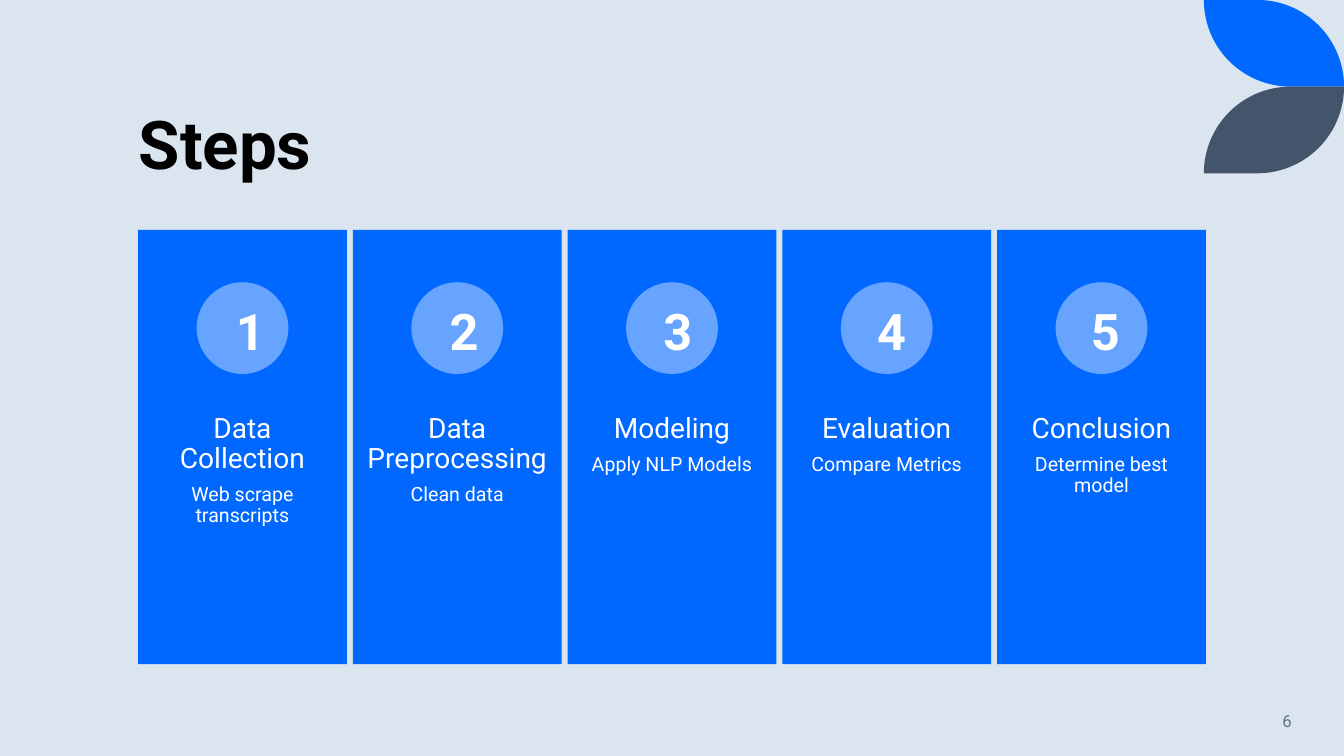
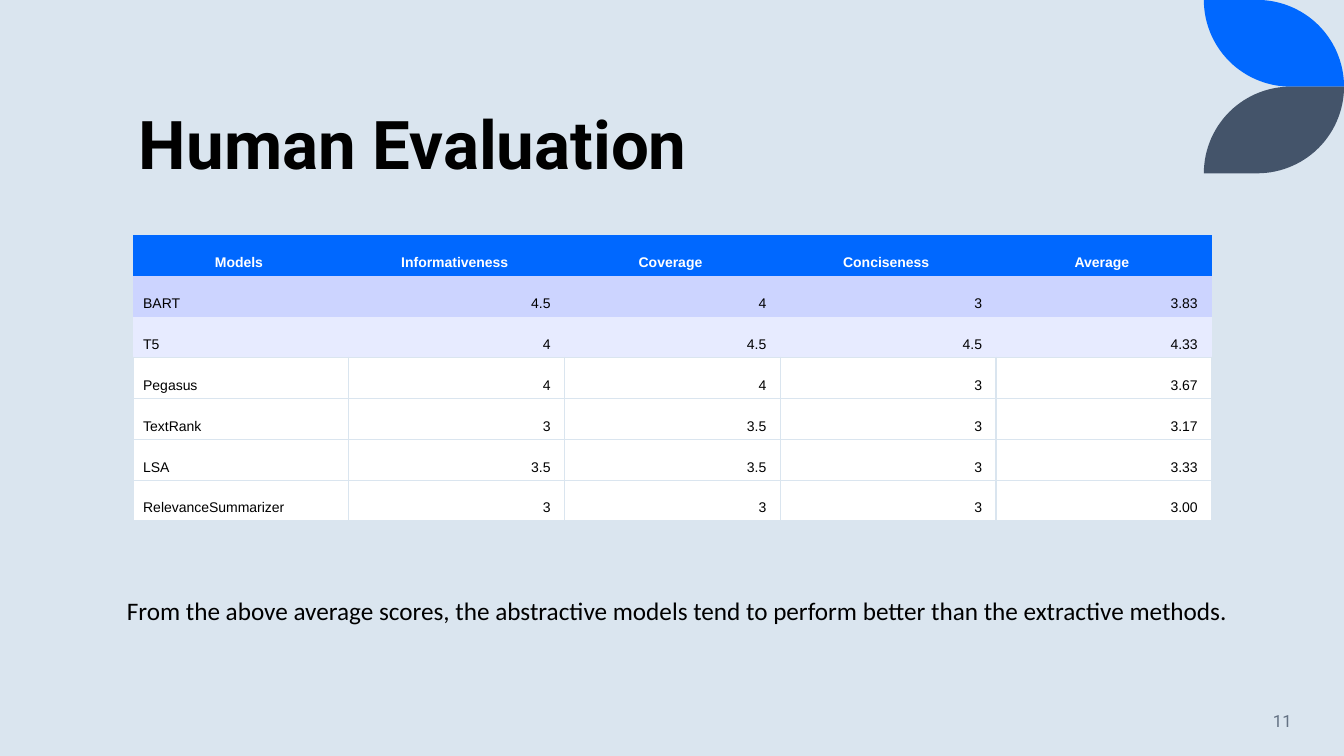
from math import cos, radians, sin

from lxml import etree
from pptx import Presentation
from pptx.dml.color import RGBColor
from pptx.enum.shapes import MSO_SHAPE as Shape
from pptx.enum.text import MSO_ANCHOR as Anchor, PP_ALIGN as Align
from pptx.oxml.ns import qn
from pptx.util import Inches, Pt

# Content
STEPS_TITLE = "Steps"
STEPS = [
    ("Data Collection", "Web scrape transcripts"),
    ("Data Preprocessing", "Clean data"),
    ("Modeling", "Apply NLP Models"),
    ("Evaluation", "Compare Metrics"),
    ("Conclusion", "Determine best model"),
]
SCORES_TITLE = "Human Evaluation"
SCORES = [
    ("Models", "Informativeness", "Coverage", "Conciseness", "Average"),
    ("BART", "4.5", "4", "3", "3.83"),
    ("T5", "4", "4.5", "4.5", "4.33"),
    ("Pegasus", "4", "4", "3", "3.67"),
    ("TextRank", "3", "3.5", "3", "3.17"),
    ("LSA", "3.5", "3.5", "3", "3.33"),
    ("RelevanceSummarizer", "3", "3", "3", "3.00"),
]
FINDING = ("From the above average scores, the abstractive models tend to "
           "perform better than the extractive methods.")

# Shared style
FONT = "Roboto"
PALE, BLUE, SLATE = "DAE5EF", "0068FF", "44546A"
LIGHT_BLUE, WHITE, BLACK, GREY = "66A4FF", "FFFFFF", "000000", "637183"
ROW_FILLS = [BLUE, "CCD4FF", "E7EBFF"]  # later rows are white
LEAF_W, LEAF_H = 1.39, 0.86


def rgb(color):
    return RGBColor.from_string(color)


def style(p, size, color, bold=False, font=FONT, align=Align.LEFT):
    p.alignment = align
    for r in p.runs:
        r.font.size, r.font.bold, r.font.name = Pt(size), bold, font
        r.font.color.rgb = rgb(color)


def paint(sp, color):
    sp.fill.solid()
    sp.fill.fore_color.rgb = rgb(color)
    sp.line.fill.background()
    sp.shadow.inherit = False


def add_shape(slide, kind, x, y, w, h, color):
    sp = slide.shapes.add_shape(kind, Inches(x), Inches(y), Inches(w), Inches(h))
    paint(sp, color)


def add_text(slide, text, x, y, w, h, size, color, anchor=Anchor.TOP, **look):
    box = slide.shapes.add_textbox(Inches(x), Inches(y), Inches(w), Inches(h))
    tf = box.text_frame
    tf.word_wrap, tf.vertical_anchor = True, anchor
    tf.text = text
    for p in tf.paragraphs:
        style(p, size, color, **look)
    return tf


def arc(cx, cy, start, end, steps=30):
    """Points on a circle of radius LEAF_H, angles in degrees."""
    angles = [radians(start + (end - start) * i / steps) for i in range(steps + 1)]
    return [(cx + LEAF_H * cos(a), cy + LEAF_H * sin(a)) for a in angles]


def add_leaves(slide):
    outline = [(0, 0)]
    outline += arc(LEAF_W - LEAF_H, LEAF_H, -90, 0)
    outline += arc(LEAF_H, 0, 90, 180)
    left = 13.33 - LEAF_W
    for color, mirrored in ((BLUE, False), (SLATE, True)):
        pts = [(Inches(left + x), Inches(2 * LEAF_H - y if mirrored else y))
               for x, y in outline]
        builder = slide.shapes.build_freeform(*pts[0])
        builder.add_line_segments(pts[1:], close=True)
        paint(builder.convert_to_shape(), color)


def new_slide(prs, title, number):
    slide = prs.slides.add_slide(prs.slide_layouts[6])
    add_leaves(slide)
    tf = add_text(slide, title, 1.28, 0.42, 10.69, 1.45, 48, BLACK,
                  Anchor.BOTTOM, bold=True)
    tf.paragraphs[0].line_spacing = 0.9
    add_text(slide, str(number), 11.1, 6.95, 1.81, 0.4, 12, GREY,
             Anchor.MIDDLE, align=Align.RIGHT)
    return slide


def add_steps(slide):
    left, pitch, width = 1.37, 2.13, 2.07
    circle = 0.91
    for i, (name, detail) in enumerate(STEPS):
        x = left + i * pitch
        add_shape(slide, Shape.RECTANGLE, x, 2.28, width, 4.31, BLUE)
        add_shape(slide, Shape.OVAL, x + (width - circle) / 2, 2.8,
                  circle, circle, LIGHT_BLUE)
        add_text(slide, str(i + 1), 2.24 + i * 2.12, 2.93, 0.38, 0.71, 36,
                 WHITE, bold=True, align=Align.CENTER)
        # Step name with its detail below
        tf = add_text(slide, f"{name}\n{detail}", x, 4, width, 1.72, 20, WHITE,
                      align=Align.CENTER)
        tf.margin_left = tf.margin_right = Inches(0.11)
        tf.margin_top = tf.margin_bottom = Inches(0.11)
        for p, size, after in zip(tf.paragraphs, (20, 14), (7, 2)):
            p.line_spacing, p.space_after = 0.9, Pt(after)
            p.runs[0].font.size = Pt(size)


def set_borders(cell, color=None):
    props = cell._tc.get_or_add_tcPr()
    for side in ("lnL", "lnR", "lnT", "lnB"):
        ln = etree.SubElement(props, qn(f"a:{side}"), w=str(Pt(1)))
        if color:
            fill = etree.SubElement(ln, qn("a:solidFill"))
            etree.SubElement(fill, qn("a:srgbClr"), val=color)
        else:
            etree.SubElement(ln, qn("a:noFill"))


def add_scores(slide):
    rows, cols = len(SCORES), len(SCORES[0])
    table = slide.shapes.add_table(rows, cols, Inches(1.32), Inches(2.33),
                                   Inches(10.7), Inches(2.84)).table
    for i, row in enumerate(SCORES):
        header = i == 0
        fill = ROW_FILLS[i] if i < len(ROW_FILLS) else WHITE
        for j, value in enumerate(row):
            cell = table.cell(i, j)
            cell.text = value
            cell.vertical_anchor = Anchor.BOTTOM
            cell.margin_right = Inches(0.14)
            set_borders(cell, PALE if fill == WHITE else None)
            cell.fill.solid()
            cell.fill.fore_color.rgb = rgb(fill)
            align = Align.CENTER if header else Align.RIGHT if j else Align.LEFT
            style(cell.text_frame.paragraphs[0], 10, WHITE if header else BLACK,
                  bold=header, font="Arial", align=align)


def main():
    prs = Presentation()
    prs.slide_width, prs.slide_height = Inches(13.33), Inches(7.5)
    background = prs.slide_master.background.fill
    background.solid()
    background.fore_color.rgb = rgb(PALE)

    add_steps(new_slide(prs, STEPS_TITLE, 6))

    slide = new_slide(prs, SCORES_TITLE, 11)
    add_scores(slide)
    add_text(slide, FINDING, 1.16, 5.86, 11.38, 0.4, 18, BLACK, font="Calibri")

    prs.save("out.pptx")


if __name__ == "__main__":
    main()
